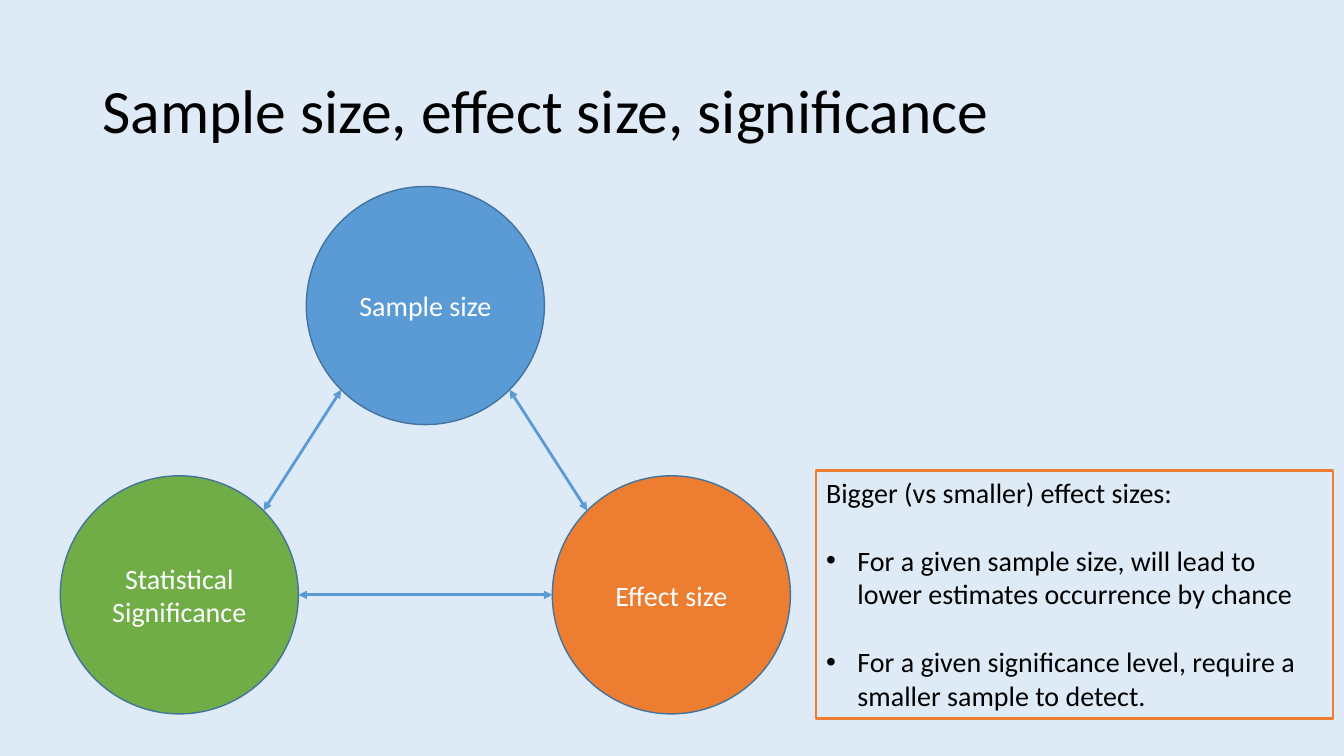
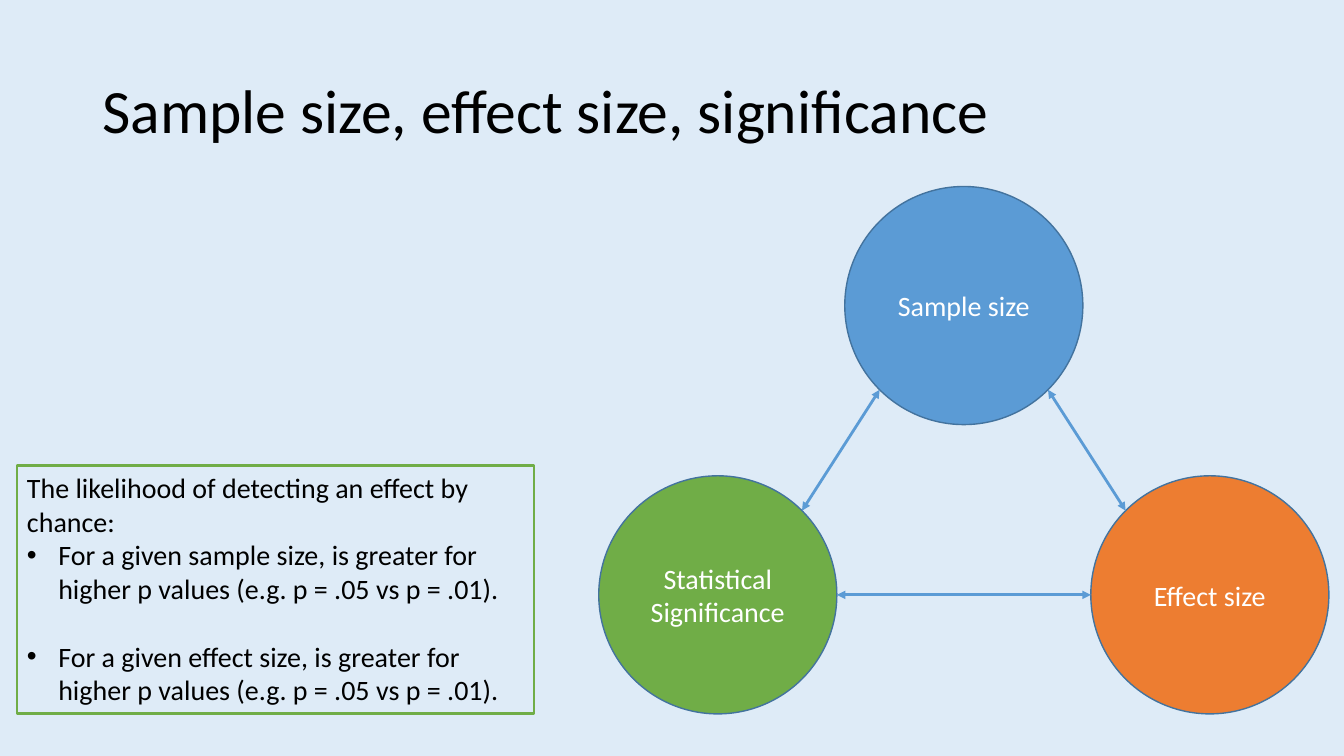
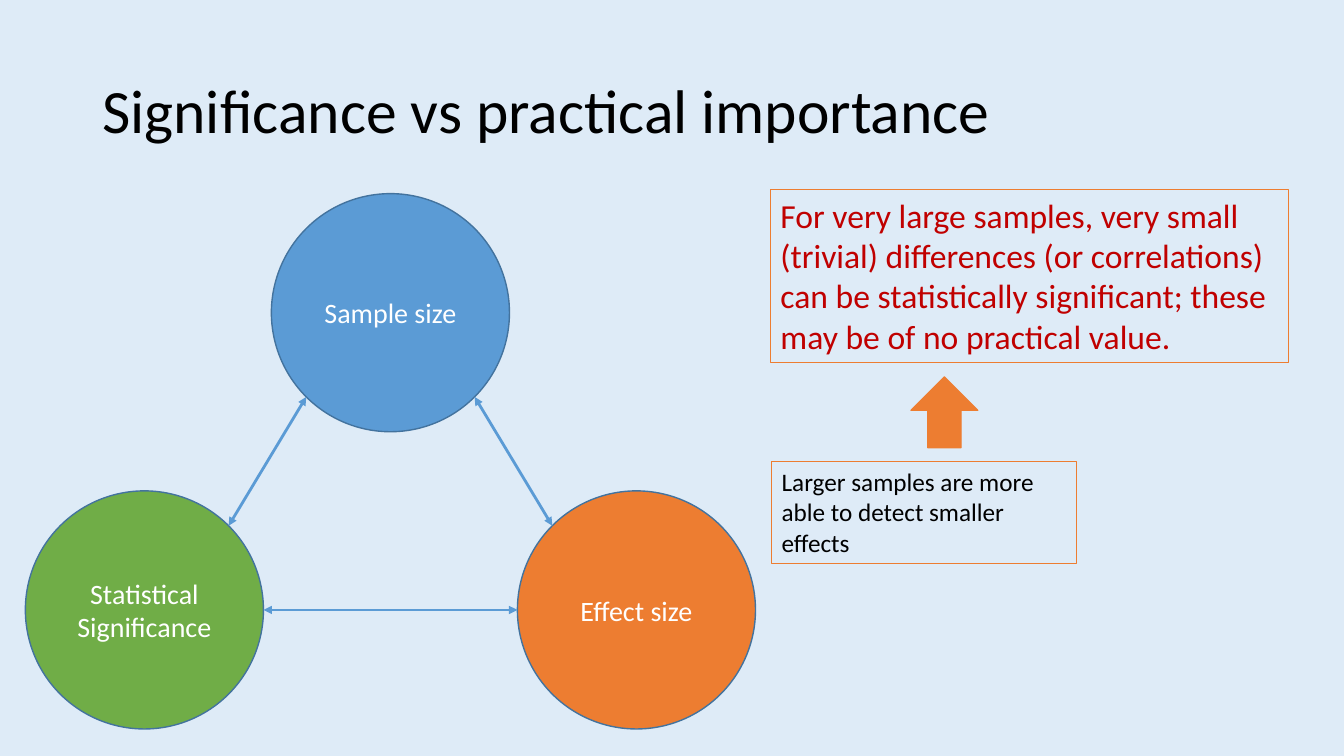
import math
from dataclasses import dataclass

import pptx
import pptx.dml.color
import pptx.enum.shapes
import pptx.enum.text
import pptx.oxml
import pptx.oxml.ns
import pptx.util

Cm = pptx.util.Cm
Pt = pptx.util.Pt
Shape = pptx.enum.shapes.MSO_SHAPE
Anchor = pptx.enum.text.MSO_ANCHOR
Align = pptx.enum.text.PP_ALIGN
Fit = pptx.enum.text.MSO_AUTO_SIZE


@dataclass(frozen=True)
class Theme:
    font: str = "Calibri"
    back: str = "DEEBF7"
    black: str = "000000"
    white: str = "FFFFFF"
    red: str = "C00000"
    blue: str = "5B9BD5"
    green: str = "70AD47"
    orange: str = "ED7D31"
    edge: str = "43739E"
    title: int = 44
    large: int = 24
    body: int = 20
    small: int = 18
    gap: float = 24.4  # one body line


THEME = Theme()
SIZE = 6  # circle diameter
STEP = 6.2  # sideways step between circles


def color(code):
    return pptx.dml.color.RGBColor.from_string(code)


def child(parent, tag, **attrs):
    item = pptx.oxml.parse_xml(f"<{tag} {pptx.oxml.ns.nsdecls('a')}/>")
    for key, value in attrs.items():
        item.set(key, str(value))
    parent.append(item)


class Deck:
    def __init__(self, theme):
        self.theme = theme
        self.show = pptx.Presentation()
        self.show.slide_width, self.show.slide_height = Cm(33.87), Cm(19.05)
        fill = self.show.slide_master.background.fill
        fill.solid()
        fill.fore_color.rgb = color(theme.back)

    def page(self, title):
        self.slide = self.show.slides.add_slide(self.show.slide_layouts[6])
        box = self.slide.shapes.add_textbox(Cm(2.33), Cm(1.01), Cm(29.21), Cm(3.68))
        self.label(box, [title], self.theme.title, self.theme.black,
                   {"vertical_anchor": Anchor.MIDDLE}, {"line_spacing": 0.9})

    def label(self, shape, lines, size, ink, frame, para):
        """Fill a shape with lines; a (text, gap) pair becomes a bullet."""
        body = shape.text_frame
        for key, value in {"word_wrap": True, **frame}.items():
            setattr(body, key, value)
        for index, line in enumerate(lines):
            part = body.add_paragraph() if index else body.paragraphs[0]
            text, style = line, dict(para)
            if isinstance(line, tuple):
                text, style["space_before"] = line[0], Pt(line[1])
            for key, value in style.items():
                setattr(part, key, value)
            if isinstance(line, tuple):
                self.bullet(part)
            run = part.add_run()
            run.text = text
            looks = {"name": self.theme.font, "size": Pt(size)}
            for key, value in looks.items():
                setattr(run.font, key, value)
            run.font.color.rgb = color(ink)

    def bullet(self, part):
        props = part._p.get_or_add_pPr()
        props.set("marL", str(Cm(0.79)))
        props.set("indent", str(-Cm(0.79)))
        child(props, "a:buFont", typeface="Arial")
        child(props, "a:buChar", char="•")

    def shape(self, kind, place, fill, edge, width):
        item = self.slide.shapes.add_shape(kind, *map(Cm, place))
        item.shadow.inherit = False
        if fill:
            item.fill.solid()
            item.fill.fore_color.rgb = color(fill)
        else:
            item.fill.background()
        item.line.color.rgb = color(edge)
        item.line.width = Pt(width)
        return item

    def disc(self, left, top, text, fill):
        item = self.shape(Shape.OVAL, (left, top, SIZE, SIZE), fill,
                          self.theme.edge, 1)
        self.label(item, [text], self.theme.body, self.theme.white,
                   {"vertical_anchor": Anchor.MIDDLE},
                   {"alignment": Align.CENTER})

    def box(self, place, lines, size, edge, width=1.75, ink=THEME.black):
        item = self.shape(Shape.RECTANGLE, place, None, edge, width)
        self.label(item, lines, size, ink,
                   {"vertical_anchor": Anchor.TOP,
                    "auto_size": Fit.SHAPE_TO_FIT_TEXT},
                   {"alignment": Align.LEFT})

    def arrow(self, start, end):
        """Draw a line with a head at both ends."""
        item = self.slide.shapes.add_connector(
            pptx.enum.shapes.MSO_CONNECTOR.STRAIGHT, *map(Cm, start + end))
        item.line.color.rgb = color(self.theme.blue)
        item.line.width = Pt(2)
        line = item.line._get_or_add_ln()
        for tag in ("a:headEnd", "a:tailEnd"):
            child(line, tag, type="triangle")
        child(item._element.spPr, "a:effectLst")

    def cycle(self, left, top, drop):
        """Draw three linked circles; drop is the step from top to base."""
        base = top + drop
        self.disc(left + STEP, top, "Sample size", self.theme.blue)
        self.disc(left, base, "Statistical Significance", self.theme.green)
        self.disc(left + 2 * STEP, base, "Effect size", self.theme.orange)
        half = SIZE / 2
        lean = half * math.sqrt(0.5)
        mid = left + STEP + half
        for side in (-1, 1):
            self.arrow((mid + side * lean, top + half + lean),
                       (mid + side * (STEP - lean), base + half - lean))
        self.arrow((mid + STEP - half, base + half),
                   (mid - STEP + half, base + half))


def main():
    look = THEME
    deck = Deck(look)

    deck.page("Sample size, effect size, significance")
    deck.cycle(1.52, 4.7, 7.29)
    deck.box((20.57, 11.86, 13.03, 6.25), [
        "Bigger (vs smaller) effect sizes:",
        ("For a given sample size, will lead to lower estimates occurrence "
         "by chance", look.gap),
        ("For a given significance level, require a smaller sample to detect.",
         look.gap),
    ], look.body, look.orange)

    deck.page("Sample size, effect size, significance")
    deck.cycle(15.09, 4.7, 7.29)
    deck.box((0.43, 11.73, 13.03, 6.25), [
        "The likelihood of detecting an effect by chance:",
        ("For a given sample size, is greater for higher p values "
         "(e.g. p = .05 vs p = .01).", 0),
        ("For a given effect size, is greater for higher p values "
         "(e.g. p = .05 vs p = .01).", look.gap),
    ], look.body, look.green)

    deck.page("Significance vs practical importance")
    deck.cycle(0.64, 4.88, 7.49)
    deck.box((19.45, 11.63, 7.68, 2.57),
             ["Larger samples are more able to detect smaller effects"],
             look.small, look.orange, 0.75)
    deck.box((19.42, 4.78, 13.05, 4.36),
             ["For very large samples, very small (trivial) differences "
              "(or correlations) can be statistically significant; these may "
              "be of no practical value."],
             look.large, look.orange, 0.75, look.red)
    deck.shape(Shape.UP_ARROW, (22.96, 9.5, 1.68, 1.78),
               look.orange, look.orange, 1)

    deck.show.save("out.pptx")


if __name__ == "__main__":
    main()
